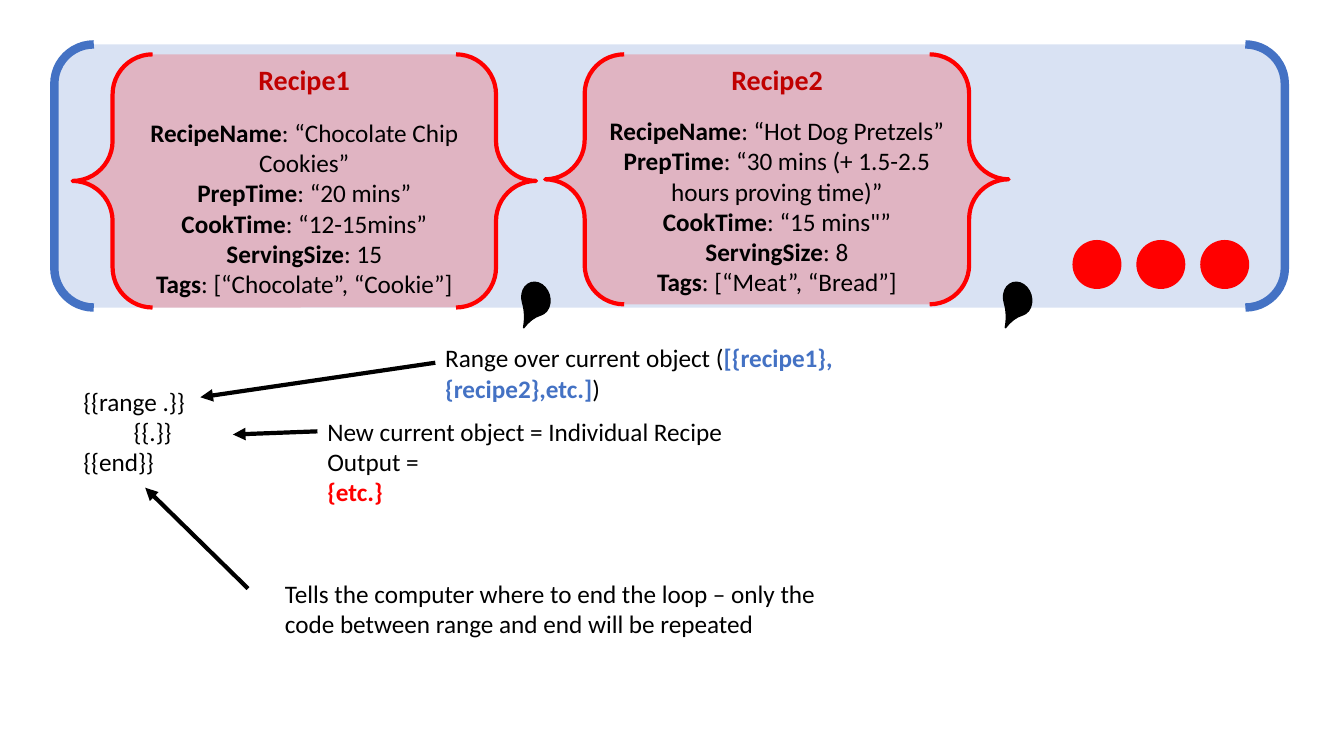
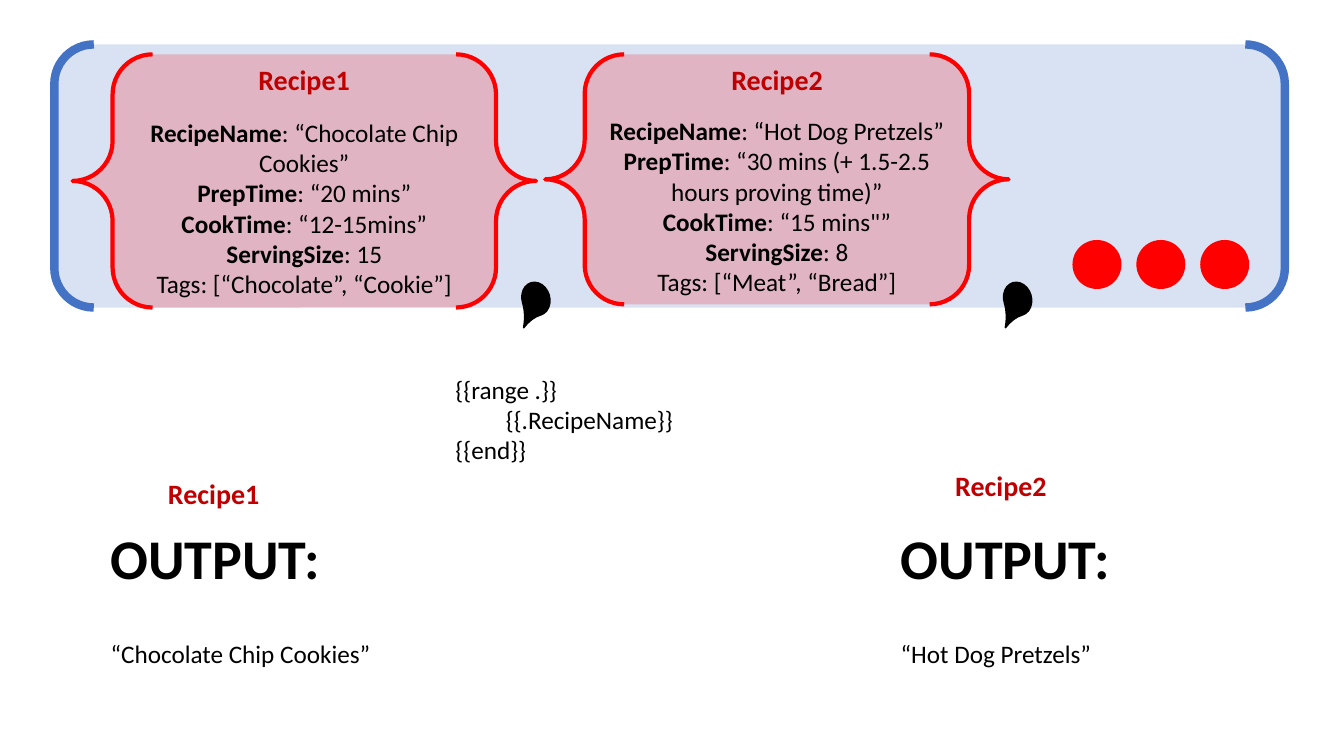
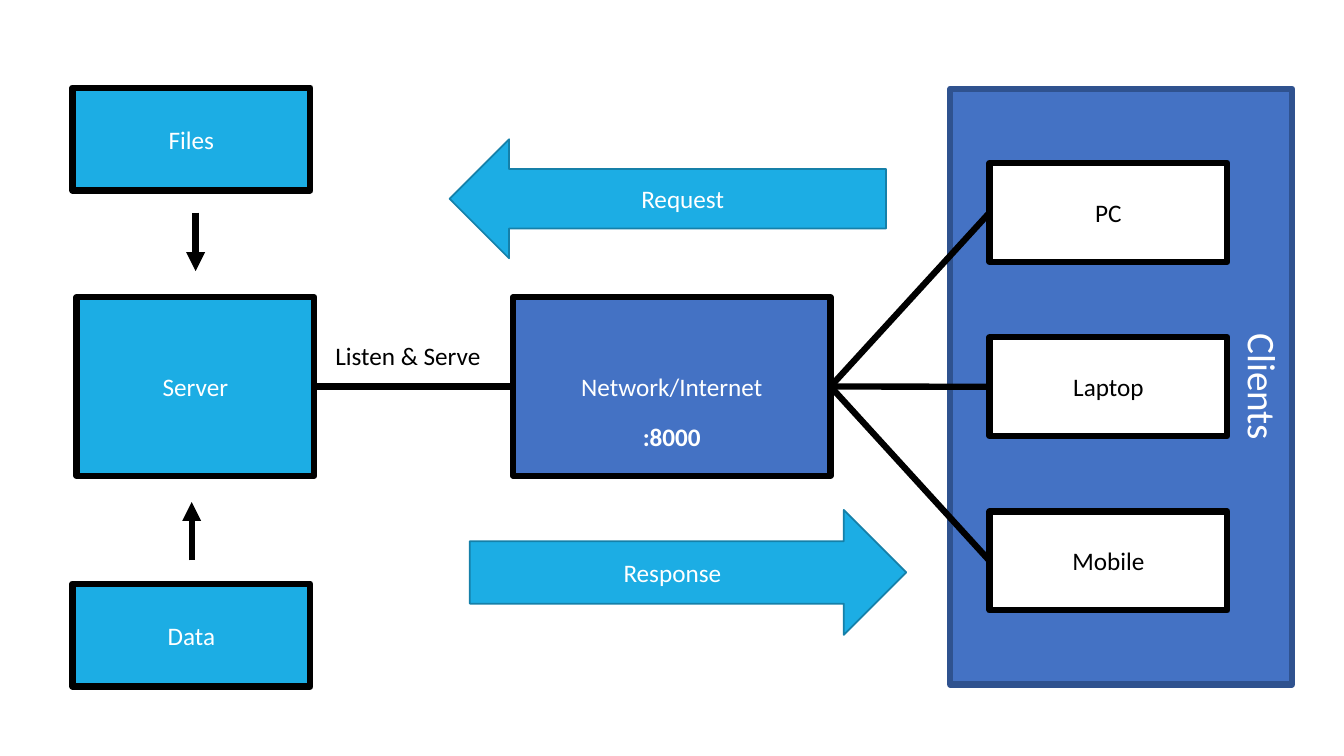
from dataclasses import dataclass
from typing import NamedTuple, Optional, Union

from lxml import etree
from pptx import Presentation
from pptx.dml.color import RGBColor
from pptx.enum import shapes, text
from pptx.oxml.ns import qn
from pptx.util import Cm, Pt

FONT = "Calibri"
BLACK = RGBColor(0x00, 0x00, 0x00)
WHITE = RGBColor(0xFF, 0xFF, 0xFF)
RED = RGBColor(0xFF, 0x00, 0x00)
DARK_RED = RGBColor(0xC0, 0x00, 0x00)
BLUE = RGBColor(0x44, 0x72, 0xC4)
DARK_BLUE = RGBColor(0x2F, 0x52, 0x8F)
CYAN = RGBColor(0x1C, 0xAD, 0xE4)
DARK_CYAN = RGBColor(0x15, 0x80, 0xA9)

SHAPE = shapes.MSO_SHAPE
LEFT, CENTER = text.PP_ALIGN.LEFT, text.PP_ALIGN.CENTER
TOP, MIDDLE = text.MSO_ANCHOR.TOP, text.MSO_ANCHOR.MIDDLE
CODE_INDENT = Cm(1.27)
THICK = 4.5


class Box(NamedTuple):
    """Left, top, width and height in centimetres."""
    left: float
    top: float
    width: float
    height: float


class Point(NamedTuple):
    x: float
    y: float


class Span(NamedTuple):
    text: str
    bold: bool = False
    color: Optional[RGBColor] = None


Line = Union[str, list[Span]]


@dataclass(frozen=True)
class TextStyle:
    size: float = 18
    color: RGBColor = BLACK
    bold: bool = False
    align: text.PP_ALIGN = LEFT
    anchor: text.MSO_ANCHOR = TOP


@dataclass(frozen=True)
class Recipe:
    heading: str
    heading_left: float
    box: Box
    comma_left: float
    fields: dict[str, str]


BODY = TextStyle()
LABEL = TextStyle(align=CENTER, anchor=MIDDLE)
WHITE_LABEL = TextStyle(color=WHITE, align=CENTER, anchor=MIDDLE)
HEADING = TextStyle(20, DARK_RED, True, CENTER, MIDDLE)
OUTPUT = TextStyle(40, bold=True)

RECIPES = [
    Recipe("Recipe1", 4.11, Box(1.83, 1.37, 11.68, 6.38), 13.16, {
        "RecipeName": "“Chocolate Chip Cookies”",
        "PrepTime": "“20 mins”",
        "CookTime": "“12-15mins”",
        "ServingSize": "15",
        "Tags": "[“Chocolate”, “Cookie”]",
    }),
    Recipe("Recipe2", 16.03, Box(13.74, 1.37, 11.68, 6.3), 25.3, {
        "RecipeName": "“Hot Dog Pretzels”",
        "PrepTime": "“30 mins (+ 1.5-2.5 hours proving time)”",
        "CookTime": "“15 mins\"”",
        "ServingSize": "8",
        "Tags": "[“Meat”, “Bread”]",
    }),
]


def write(shape, lines: list[Line], style: TextStyle) -> None:
    """Fill a shape; a line is plain text or a list of spans."""
    frame = shape.text_frame
    frame.word_wrap = True
    frame.vertical_anchor = style.anchor
    for index, line in enumerate(lines):
        paragraph = frame.paragraphs[0] if index == 0 else frame.add_paragraph()
        paragraph.alignment = style.align
        spans = [Span(line, style.bold)] if isinstance(line, str) else line
        if spans[0].text.startswith("\t"):
            properties = paragraph._p.get_or_add_pPr()
            tabs = etree.SubElement(properties, qn("a:tabLst"))
            etree.SubElement(tabs, qn("a:tab"), pos=str(CODE_INDENT), algn="l")
        for span in spans:
            run = paragraph.add_run()
            run.text = span.text
            run.font.name = FONT
            run.font.size = Pt(style.size)
            run.font.bold = span.bold
            run.font.color.rgb = span.color or style.color


def add_text(slide, box: Box, lines: list[Line], style: TextStyle = BODY) -> None:
    write(slide.shapes.add_textbox(*map(Cm, box)), lines, style)


def add_shape(slide, kind: SHAPE, box: Box, fill: RGBColor, line: RGBColor,
              width: float, opacity: int = 100, adjustment: Optional[float] = None):
    """Add a filled, outlined shape; opacity is a percentage."""
    shape = slide.shapes.add_shape(kind, *map(Cm, box))
    shape.shadow.inherit = False
    shape.fill.solid()
    shape.fill.fore_color.rgb = fill
    shape.line.color.rgb = line
    shape.line.width = Pt(width)
    if opacity < 100:
        color = shape.element.spPr.find(qn("a:solidFill")).find(qn("a:srgbClr"))
        etree.SubElement(color, qn("a:alpha"), val=str(opacity * 1000))
    if adjustment is not None:
        shape.adjustments[0] = adjustment
    return shape


def add_process(slide, box: Box, label: str, fill: RGBColor, style: TextStyle = WHITE_LABEL):
    shape = add_shape(slide, SHAPE.FLOWCHART_PROCESS, box, fill, BLACK, THICK)
    write(shape, [label], style)
    return shape


def add_line(slide, start: Point, end: Point, width: float, arrow: bool = False):
    connector = slide.shapes.add_connector(
        shapes.MSO_CONNECTOR.STRAIGHT, *map(Cm, (*start, *end)))
    connector.line.color.rgb = BLACK
    connector.line.width = Pt(width)
    if arrow:
        outline = connector.line._get_or_add_ln()
        etree.SubElement(outline, qn("a:tailEnd"), type="triangle")
    etree.SubElement(connector._element.spPr, qn("a:effectLst"))
    return connector


def link(slide, source, target) -> None:
    """Join the right side of source to the left side of target."""
    connector = add_line(slide, Point(0, 0), Point(1, 1), THICK)
    connector.begin_connect(source, 3)
    connector.end_connect(target, 1)


def add_heading(slide, left: float, top: float, heading: str) -> None:
    add_text(slide, Box(left, top, 7.11, 1.12), [heading], HEADING)


def add_recipe_list(slide, bold_tags: bool) -> None:
    """Draw the bracketed list of recipes that heads a slide."""
    add_shape(slide, SHAPE.DOUBLE_BRACKET, Box(1.37, 1.12, 31.01, 6.63),
              BLUE, BLUE, 6, opacity=20, adjustment=0.15)
    for recipe in RECIPES:
        brace = add_shape(slide, SHAPE.DOUBLE_BRACE, recipe.box,
                          RED, RED, 3, opacity=20, adjustment=0.158)
        write(brace, [[Span(key, bold_tags or key != "Tags"), Span(f": {value}")]
                      for key, value in recipe.fields.items()], LABEL)
        brace.text_frame.margin_top = Cm(0.48)
        comma = add_shape(slide, SHAPE.TEAR, Box(recipe.comma_left, 7.11, 0.69, 0.84),
                          BLACK, BLACK, 1.25, adjustment=1.447)
        comma.rotation = 163.5
        add_heading(slide, recipe.heading_left, 1.45, recipe.heading)
    for index in range(3):
        add_shape(slide, SHAPE.OVAL, Box(27.05 + 1.61 * index, 6.07, 1.19, 1.19),
                  RED, RED, 1.25)


def add_loop(slide, box: Box, expression: str) -> None:
    add_text(slide, box, ["{{range .}}", f"\t{expression}", "{{end}}"])


def build_range_slide(slide) -> None:
    add_loop(slide, Box(1.85, 9.6, 4.37, 2.57), "{{.}}")
    add_text(slide, Box(10.97, 8.51, 10.64, 1.8), [[
        Span("Range over current object ("),
        Span("[{recipe1},{recipe2},etc.]", True, BLUE),
        Span(")")]])
    add_text(slide, Box(8, 10.36, 11.05, 4.11), [
        "New current object = Individual Recipe",
        "Output =",
        [Span("{etc.}", True, RED)]])
    add_text(slide, Box(6.93, 14.45, 15.11, 1.8), [
        "Tells the computer where to end the loop – only the code "
        "between range and end will be repeated"])
    for start, end in [(Point(10.97, 9.14), Point(5.05, 10.01)),
                       (Point(8, 10.87), Point(5.87, 10.95)),
                       (Point(6.25, 14.83), Point(3.66, 12.29))]:
        add_line(slide, start, end, 3, arrow=True)
    add_recipe_list(slide, bold_tags=True)


def build_output_slide(slide) -> None:
    add_loop(slide, Box(11.23, 9.3, 7.67, 2.57), "{{.RecipeName}}")
    places = [(Point(1.83, 11.86), 2.54), (Point(21.67, 11.68), 22.45)]
    for recipe, (heading, left) in zip(RECIPES, places):
        add_heading(slide, heading.x, heading.y, recipe.heading)
        add_text(slide, Box(left, 13.08, 7.67, 1.96), ["OUTPUT:"], OUTPUT)
        add_text(slide, Box(left, 15.95, 10.97, 1.02), [recipe.fields["RecipeName"]])
    add_recipe_list(slide, bold_tags=False)


def build_network_slide(slide) -> None:
    clients = add_shape(slide, SHAPE.FLOWCHART_PROCESS, Box(23.95, 2.24, 8.61, 15.01),
                        BLUE, DARK_BLUE, THICK)
    write(clients, ["Clients"], TextStyle(28, WHITE, align=CENTER))
    clients.text_frame._txBody.bodyPr.set("vert", "vert")

    server = add_process(slide, Box(1.93, 7.49, 5.99, 4.5), "Server", CYAN)
    network = add_process(slide, Box(12.93, 7.49, 8, 4.5), "Network/Internet", BLUE)
    link(slide, server, network)
    for index, device in enumerate(["PC", "Laptop", "Mobile"]):
        box = Box(24.94, 4.11 + 4.39 * index, 5.99, 2.49)
        link(slide, network, add_process(slide, box, device, WHITE, LABEL))

    for kind, box, label in [
            (SHAPE.LEFT_ARROW, Box(11.33, 3.51, 11, 3), "Request"),
            (SHAPE.RIGHT_ARROW, Box(11.84, 12.85, 11, 3.15), "Response")]:
        write(add_shape(slide, kind, box, CYAN, DARK_CYAN, 1.25), [label], WHITE_LABEL)

    add_text(slide, Box(8.2, 8.46, 4.37, 1.02), ["Listen & Serve"])
    add_text(slide, Box(12.93, 10.49, 8, 1.02), [":8000"],
             TextStyle(color=WHITE, bold=True, align=CENTER))
    for label, top in [("Files", 2.21), ("Data", 14.71)]:
        add_process(slide, Box(1.83, top, 5.99, 2.59), label, CYAN)
    add_line(slide, Point(4.93, 5.36), Point(4.93, 6.83), THICK, arrow=True)
    add_line(slide, Point(4.83, 14.12), Point(4.83, 12.65), THICK, arrow=True)


def main() -> None:
    presentation = Presentation()
    presentation.slide_width = Cm(33.87)
    presentation.slide_height = Cm(19.05)
    blank = presentation.slide_layouts[6]
    for build in (build_range_slide, build_output_slide, build_network_slide):
        build(presentation.slides.add_slide(blank))
    presentation.save("out.pptx")


if __name__ == "__main__":
    main()
